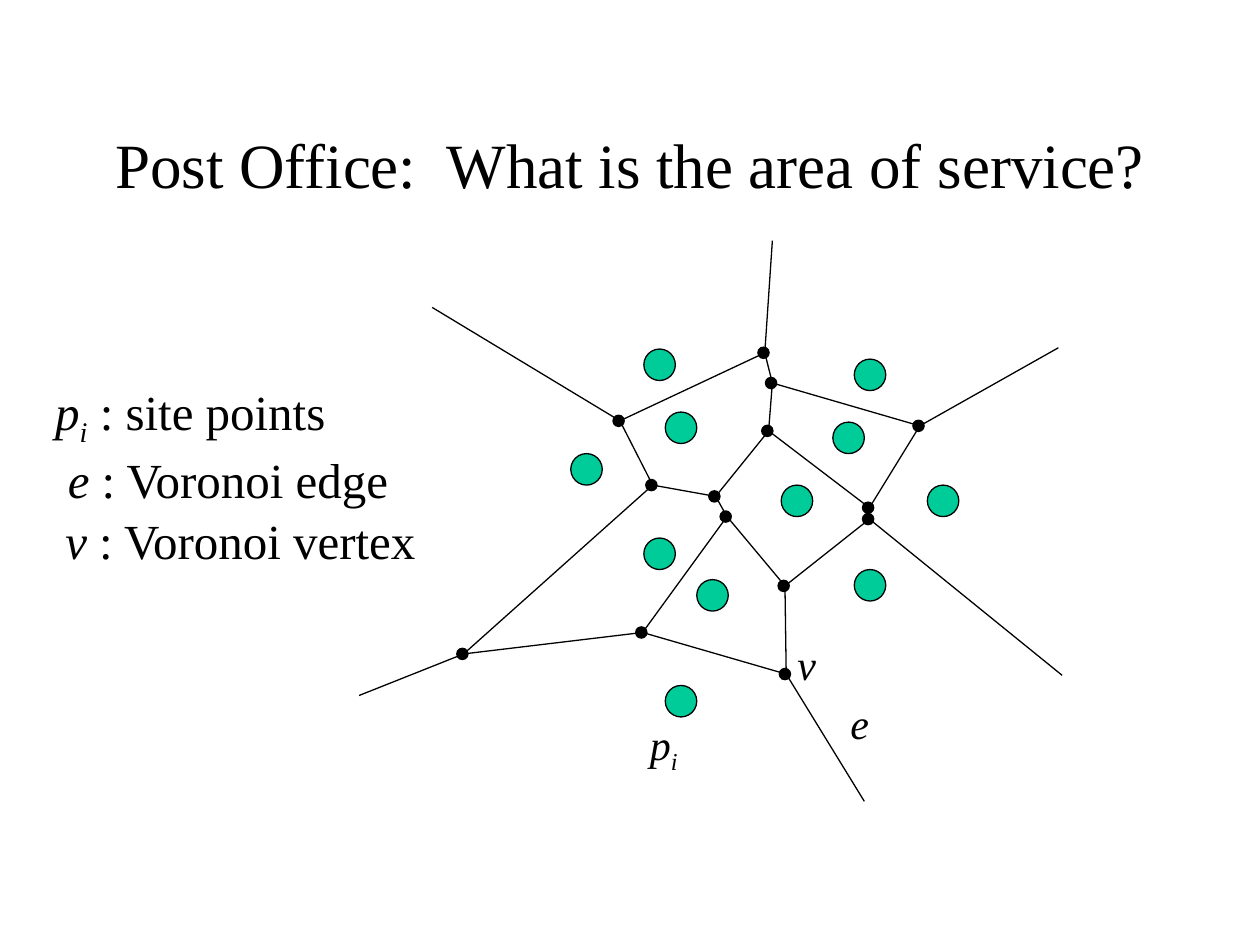
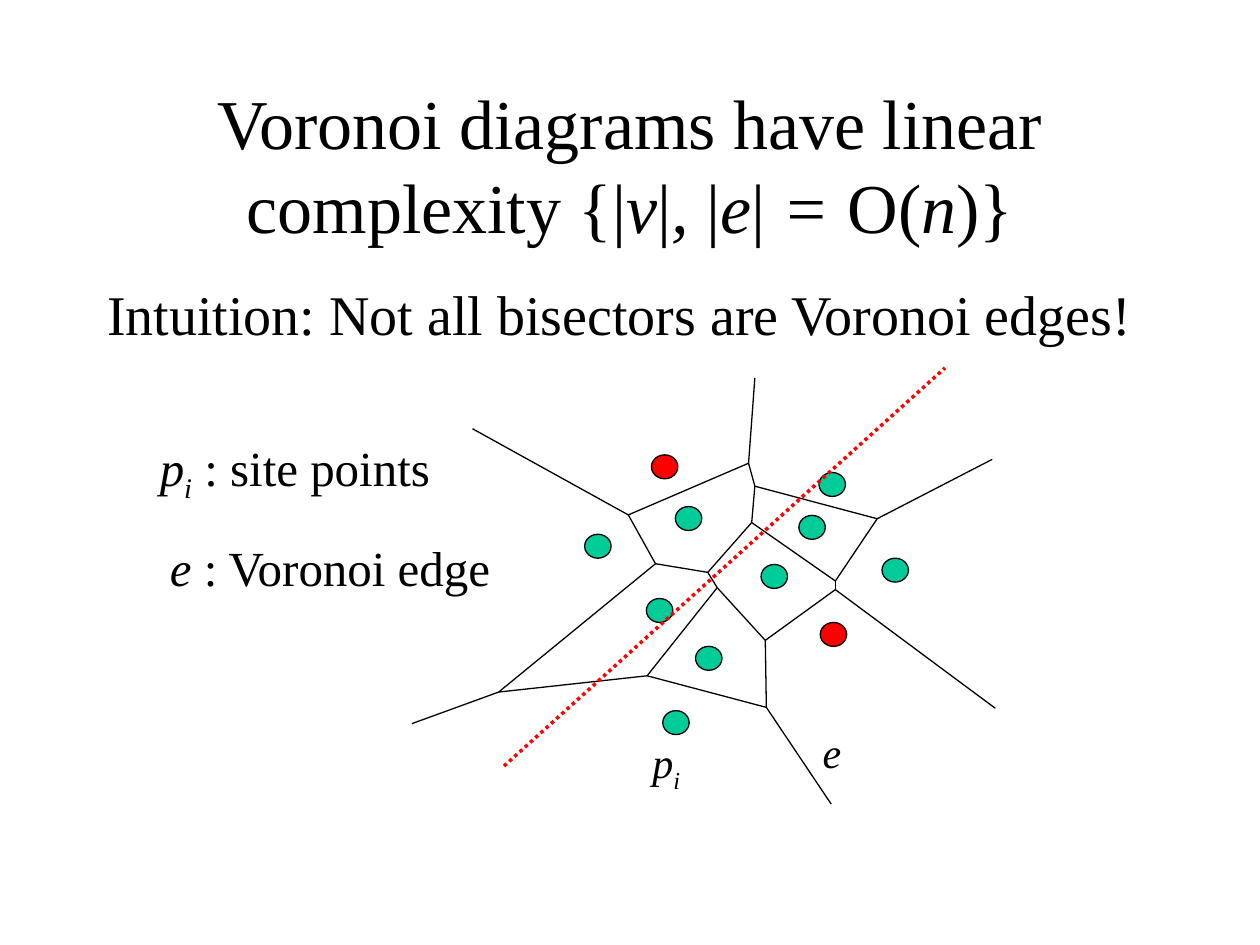
from lxml import etree
from pptx import Presentation
from pptx.dml.color import RGBColor
from pptx.enum import dml, shapes, text
from pptx.oxml import ns
from pptx.util import Inches, Pt

FONT = "Times New Roman"
COLORS = {"ink": "000000", "site": "00CC99", "highlight": "FF0000"}

VERTICES = {
    "west": (4.92, 3.34), "north": (6.07, 2.8), "north_low": (6.13, 3.04),
    "center_top": (6.1, 3.42), "east": (7.3, 3.38), "east_upper": (6.9, 4.03),
    "east_lower": (6.9, 4.12), "center_left": (5.68, 3.94),
    "center_low": (5.77, 4.1), "west_low": (5.18, 3.85),
    "southwest": (3.68, 5.19), "south": (5.1, 5.02),
    "south_right": (6.23, 4.65), "southeast": (6.24, 5.35),
}
RAY_ENDS = {
    "northwest_end": (3.43, 2.44), "north_end": (6.13, 1.91),
    "northeast_end": (8.4, 2.76), "southwest_end": (2.85, 5.52),
    "southeast_end": (6.86, 6.36), "east_end": (8.43, 5.36),
}
EDGE_CHAINS = [
    "northwest_end west west_low southwest southwest_end",
    "west north north_end",
    "north north_low center_top center_left center_low south southeast",
    "north_low east northeast_end",
    "east east_upper east_lower east_end",
    "center_top east_upper",
    "west_low center_left",
    "center_low south_right southeast southeast_end",
    "south_right east_lower",
    "southwest south",
]
SERVICE_SITES = [
    (5.28, 5.44), (5.53, 4.6), (6.2, 3.85), (6.78, 4.52), (7.36, 3.85), (6.61, 3.35),
    (6.78, 2.85), (5.11, 4.27), (4.53, 3.6), (5.28, 3.27), (5.11, 2.77),
]
COMPLEXITY_SITES = [
    (5.26, 5.64), (5.52, 5.13), (6.04, 4.48), (7, 4.43), (6.34, 4.09),
    (6.5, 3.75), (5.13, 4.75), (4.64, 4.24), (5.36, 4.02),
]
BISECTED_SITES = [(6.51, 4.94), (5.17, 3.61)]


def rgb(name):
    return RGBColor.from_string(COLORS[name])


def write(frame, content, size, alignment=text.PP_ALIGN.LEFT):
    """Asterisks enclose italics and an underscore starts a subscript."""
    paragraph = frame.paragraphs[0]
    paragraph.alignment = alignment
    paragraph.space_before = Pt(0)
    for index, piece in enumerate(content.split("*")):
        for level, part in enumerate(piece.split("_")):
            if part:
                run = paragraph.add_run()
                run.text = part
                run.font.italic = index % 2 == 1
                if level:
                    run._r.get_or_add_rPr().set("baseline", "-25000")
    paragraph.font.name = FONT
    paragraph.font.size = Pt(size)
    paragraph.font.color.rgb = rgb("ink")


def place(shape, left, top, width, height):
    shape.left, shape.top = Inches(left), Inches(top)
    shape.width, shape.height = Inches(width), Inches(height)


def add_title(slide, content, size):
    title = slide.shapes.title
    place(title, 0.75, 0.67, 8.5, 1.25)
    title.text_frame.vertical_anchor = text.MSO_ANCHOR.MIDDLE
    write(title.text_frame, content, size, text.PP_ALIGN.CENTER)


def add_body(slide, content):
    body = slide.placeholders[1]
    place(body, 0.75, 2.17, 8.5, 4.5)
    properties = body.text_frame.paragraphs[0]._p.get_or_add_pPr()
    properties.set("marL", str(Inches(0.38)))
    properties.set("indent", str(Inches(-0.38)))
    etree.SubElement(properties, ns.qn("a:buNone"))
    write(body.text_frame, content, 32)


def add_label(slide, content, left, top, width, height, size):
    box = slide.shapes.add_textbox(
        Inches(left), Inches(top), Inches(width), Inches(height))
    box.text_frame.word_wrap = True
    write(box.text_frame, content, size)


def add_symbol(slide, content, left, top):
    add_label(slide, content, left, top, 0.45, 0.5, 24)


def add_legend_entry(slide, content, left, top):
    add_label(slide, content, left, top, 3.3, 0.57, 28)


def add_line(slide, start, end, color="ink", width=0.75, dash=None):
    line = slide.shapes.add_connector(
        shapes.MSO_CONNECTOR.STRAIGHT, *map(Inches, (*start, *end)))
    line.line.color.rgb = rgb(color)
    line.line.width = Pt(width)
    if dash:
        line.line.dash_style = dash
    etree.SubElement(line._element.spPr, ns.qn("a:effectLst"))


def add_dot(slide, left, top, width, height, color, outlined=True):
    dot = slide.shapes.add_shape(
        shapes.MSO_SHAPE.OVAL, *map(Inches, (left, top, width, height)))
    dot.shadow.inherit = False
    dot.fill.solid()
    dot.fill.fore_color.rgb = rgb(color)
    if outlined:
        dot.line.color.rgb = rgb("ink")
        dot.line.width = Pt(0.75)
    else:
        dot.line.fill.background()


def add_sites(slide, positions, width, height, color="site"):
    for left, top in positions:
        add_dot(slide, left, top, width, height, color)


def add_edges(slide, points):
    for chain in EDGE_CHAINS:
        names = chain.split()
        for start, end in zip(names, names[1:]):
            add_line(slide, points[start], points[end])


def add_vertices(slide):
    for x, y in VERTICES.values():
        add_dot(slide, x - 0.06, y - 0.05, 0.1, 0.1, "ink", outlined=False)


def compress(point):
    x, y = point
    return 3.75 + (x - 3.43) * 0.83, 3 + (y - 1.91) * 0.76


def build_service_slide(presentation):
    slide = presentation.slides.add_slide(presentation.slide_layouts[5])
    add_title(slide, "Post Office:  What is the area of service?", 36)
    add_edges(slide, VERTICES | RAY_ENDS)
    add_vertices(slide)
    add_sites(slide, SERVICE_SITES, 0.25, 0.25)
    add_symbol(slide, "*e*", 6.65, 5.49)
    add_symbol(slide, "*v*", 6.23, 5.02)
    add_symbol(slide, "*p_i*", 5.06, 5.65)
    add_legend_entry(slide, "*p_i* : site points", 0.34, 2.98)
    add_legend_entry(slide, "*e* : Voronoi edge", 0.44, 3.52)
    add_legend_entry(slide, "*v* : Voronoi vertex", 0.42, 4)


def build_complexity_slide(presentation):
    slide = presentation.slides.add_slide(presentation.slide_layouts[1])
    add_title(slide, "Voronoi diagrams have linear complexity "
                     "{|*v*|*, *|*e*|* = *O(*n*)}", 40)
    add_body(slide, "Intuition: Not all bisectors are Voronoi edges!")
    points = VERTICES | RAY_ENDS
    add_edges(slide, {name: compress(point) for name, point in points.items()})
    add_sites(slide, COMPLEXITY_SITES, 0.21, 0.19)
    add_sites(slide, BISECTED_SITES, 0.21, 0.19, "highlight")
    add_symbol(slide, "*e*", 6.43, 5.72)
    add_symbol(slide, "*p_i*", 5.08, 5.8)
    add_legend_entry(slide, "*p_i* : site points", 1.17, 3.42)
    add_legend_entry(slide, "*e* : Voronoi edge", 1.25, 4.22)
    add_line(slide, (4, 6.08), (7.5, 2.92), "highlight", 2,
             dml.MSO_LINE.ROUND_DOT)


def main():
    presentation = Presentation()
    presentation.slide_width = Inches(10)
    presentation.slide_height = Inches(7.5)
    build_service_slide(presentation)
    build_complexity_slide(presentation)
    presentation.save("out.pptx")


if __name__ == "__main__":
    main()
